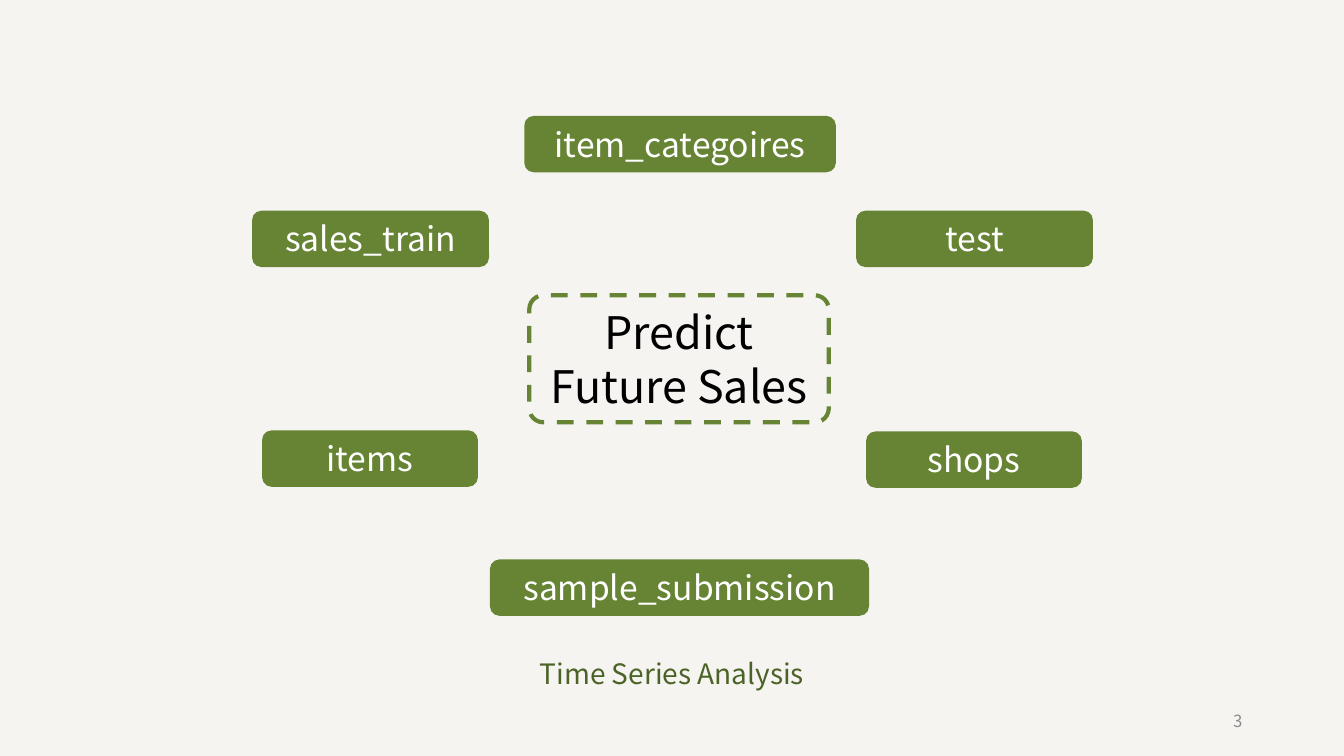
from pptx import Presentation
from pptx.dml.color import RGBColor
from pptx.enum import dml, shapes, text
from pptx.util import Inches, Pt

FONT = "Noto Sans CJK KR"
GREEN = "668434"
DATASETS = [
    ("shops", (8.59, 4.28, 2.14, 0.56)),
    ("items", (2.6, 4.27, 2.14, 0.56)),
    ("sales_train", (2.5, 2.09, 2.35, 0.56)),
    ("item_categoires", (5.2, 1.15, 3.09, 0.56)),
    ("test", (8.49, 2.09, 2.35, 0.56)),
    ("sample_submission", (4.86, 5.55, 3.76, 0.56)),
]


def color(hex_code):
    return RGBColor.from_string(hex_code)


def write(shape, words, size, hex_code, anchor, align=text.PP_ALIGN.CENTER):
    frame = shape.text_frame
    frame.word_wrap = True
    frame.vertical_anchor = anchor
    para = frame.paragraphs[0]
    para.text = words
    para.alignment = align
    para.font.name = FONT
    para.font.size = Pt(size)
    para.font.color.rgb = color(hex_code)


def add_rounded(page, box):
    shape = page.shapes.add_shape(shapes.MSO_SHAPE.ROUNDED_RECTANGLE, *map(Inches, box))
    shape.shadow.inherit = False
    return shape


def add_topic(page, box, words):
    topic = add_rounded(page, box)
    topic.adjustments[0] = 0.11
    topic.fill.background()
    topic.line.color.rgb = color(GREEN)
    topic.line.width = Pt(3)
    topic.line.dash_style = dml.MSO_LINE.DASH
    write(topic, words, 32, "000000", text.MSO_ANCHOR.MIDDLE)


def add_dataset(page, box, words):
    dataset = add_rounded(page, box)
    dataset.fill.solid()
    dataset.fill.fore_color.rgb = color(GREEN)
    dataset.line.fill.background()
    write(dataset, words, 24, "FFFFFF", text.MSO_ANCHOR.TOP)


def add_caption(page, box, words):
    caption = page.shapes.add_textbox(*map(Inches, box))
    write(caption, words, 20, "4C6327", text.MSO_ANCHOR.TOP)


def add_page_number(page, box, number):
    label = page.shapes.add_textbox(*map(Inches, box))
    write(label, number, 12, "8C8C8C", text.MSO_ANCHOR.MIDDLE, text.PP_ALIGN.RIGHT)


def main():
    deck = Presentation()
    deck.slide_width, deck.slide_height = Inches(13.33), Inches(7.5)
    page = deck.slides.add_slide(deck.slide_layouts[6])
    page.background.fill.solid()
    page.background.fill.fore_color.rgb = color("F5F4F1")
    add_topic(page, (5.25, 2.93, 2.97, 1.26), "Predict Future Sales")
    for name, box in DATASETS:
        add_dataset(page, box, name)
    add_caption(page, (2.23, 6.46, 8.87, 0.44), "Time Series Analysis")
    add_page_number(page, (9.42, 6.95, 3, 0.4), "3")
    deck.save("out.pptx")


if __name__ == "__main__":
    main()
